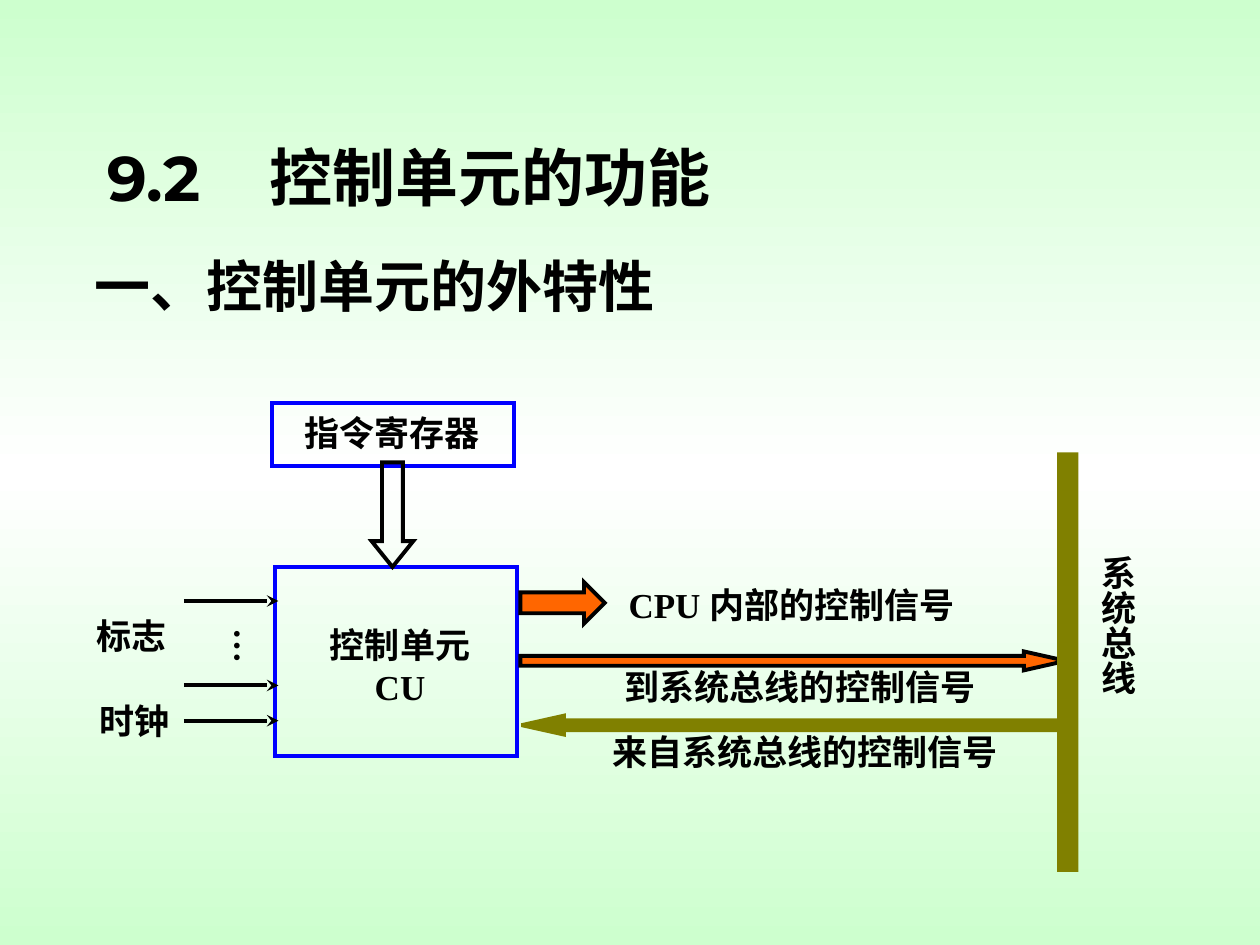
from copy import deepcopy

from lxml.etree import SubElement
from pptx import Presentation
from pptx.dml.color import RGBColor
from pptx.enum.shapes import MSO_CONNECTOR, MSO_SHAPE
from pptx.enum.text import MSO_ANCHOR, PP_ALIGN
from pptx.oxml.ns import qn
from pptx.util import Inches, Pt

BLACK, BLUE, ORANGE, OLIVE = "000000", "0000FF", "FF6600", "808000"
SERIF = "Times New Roman"


def rgb(value):
    """Return the colour for a hex string."""
    return RGBColor.from_string(value)


def set_background(slide, edge, middle):
    """Fill the slide with a vertical gradient that is mirrored at its centre."""
    fill = slide.background.fill
    fill.gradient()
    fill.gradient_angle = 90
    stops = slide.background._cSld.find(".//" + qn("a:gsLst"))
    stops.append(deepcopy(stops[-1]))
    for stop, position, color in zip(fill.gradient_stops, (0, 0.5, 1), (edge, middle, edge)):
        stop.position = position
        stop.color.rgb = rgb(color)


def add_text(slide, text, x, y, w, h, size=20, font=SERIF, anchor=MSO_ANCHOR.TOP,
             align=PP_ALIGN.LEFT, margins=(0.1, 0.05), vertical=False, tab=None):
    """Add a bold black label, optionally vertical or with one tab stop."""
    tf = slide.shapes.add_textbox(Inches(x), Inches(y), Inches(w), Inches(h)).text_frame
    tf.word_wrap = False
    tf.vertical_anchor = anchor
    tf.margin_left = tf.margin_right = Inches(margins[0])
    tf.margin_top = tf.margin_bottom = Inches(margins[1])
    if vertical:
        tf._txBody.bodyPr.set("vert", "eaVert")
    tf.text = text
    for p in tf.paragraphs:
        p.alignment = align
        if tab:
            tabs = SubElement(p._p.get_or_add_pPr(), qn("a:tabLst"))
            SubElement(tabs, qn("a:tab"), pos=str(Inches(tab)), algn="l")
        for r in p.runs:
            r.font.name = font
            r.font.size = Pt(size)
            r.font.bold = True
            r.font.color.rgb = rgb(BLACK)


def add_block(slide, kind, x, y, w, h, fill=None, line=None, adjustments=(), rotation=0):
    """Add a preset shape with the given fill, sharp outline and proportions."""
    sp = slide.shapes.add_shape(kind, Inches(x), Inches(y), Inches(w), Inches(h))
    sp.shadow.inherit = False
    sp.rotation = rotation
    for i, value in enumerate(adjustments):
        sp.adjustments[i] = value
    if fill:
        sp.fill.solid()
        sp.fill.fore_color.rgb = rgb(fill)
    else:
        sp.fill.background()
    if line:
        sp.line.color.rgb = rgb(line)
        sp.line.width = Pt(2.25)
        SubElement(sp.line._get_or_add_ln(), qn("a:miter"), lim="800000")
    else:
        sp.line.fill.background()


def add_input_arrow(slide, y):
    """Add a horizontal arrow that enters the control unit."""
    c = slide.shapes.add_connector(MSO_CONNECTOR.STRAIGHT, Inches(1.46), Inches(y),
                                   Inches(2.21), Inches(y))
    c.line.color.rgb = rgb(BLACK)
    c.line.width = Pt(2.25)
    SubElement(c.line._get_or_add_ln(), qn("a:tailEnd"), type="stealth")
    SubElement(c._element.spPr, qn("a:effectLst"))


def main():
    """Build the control unit slide."""
    prs = Presentation()
    prs.slide_width, prs.slide_height = Inches(10), Inches(7.5)
    s = prs.slides.add_slide(prs.slide_layouts[6])
    set_background(s, "CDFFCE", "FFFFFF")

    add_text(s, "9.2\t控制单元的功能", 0.75, 0.5, 8.5, 1.25, size=36, font="Montserrat",
             anchor=MSO_ANCHOR.BOTTOM, tab=1.29)
    add_text(s, "一、控制单元的外特性", 0.75, 2.03, 4.72, 0.47, size=32,
             anchor=MSO_ANCHOR.MIDDLE, margins=(0, 0))

    add_text(s, "指令寄存器", 2.32, 3.22, 1.65, 0.44)
    add_block(s, MSO_SHAPE.RECTANGLE, 2.16, 3.2, 1.92, 0.5, line=BLUE)
    add_block(s, MSO_SHAPE.RECTANGLE, 2.18, 4.5, 1.92, 1.5, line=BLUE)
    add_text(s, "控制单元\nCU", 2.47, 4.9, 1.41, 0.77, align=PP_ALIGN.CENTER)
    add_block(s, MSO_SHAPE.DOWN_ARROW, 2.95, 3.67, 0.33, 0.83, line=BLACK,
              adjustments=(0.5, 0.62))

    for y in (4.77, 5.44, 5.72):
        add_input_arrow(s, y)
    add_text(s, "…", 1.66, 4.89, 0.53, 0.48, margins=(0.05, 0.1), vertical=True)
    add_text(s, "标志", 0.67, 4.83, 0.85, 0.44)
    add_text(s, "时钟", 0.69, 5.5, 0.85, 0.44)

    add_block(s, MSO_SHAPE.RIGHT_ARROW, 4.13, 4.62, 0.67, 0.33, ORANGE, BLACK, (0.5, 0.5))
    add_block(s, MSO_SHAPE.RIGHT_ARROW, 4.13, 5.17, 4.33, 0.15, ORANGE, BLACK, (0.52, 2.22))
    add_block(s, MSO_SHAPE.RIGHT_ARROW, 4.14, 5.68, 4.33, 0.15, OLIVE, OLIVE, (0.52, 2.24),
              rotation=180)
    add_text(s, "CPU 内部的控制信号", 4.89, 4.58, 3, 0.44)
    add_text(s, "到系统总线的控制信号", 4.86, 5.23, 3.1, 0.44)
    add_text(s, "来自系统总线的控制信号", 4.76, 5.75, 3.4, 0.44)

    add_text(s, "系统总线", 8.56, 4.31, 0.53, 1.4, margins=(0.05, 0.1), vertical=True)
    add_block(s, MSO_SHAPE.RECTANGLE, 8.39, 3.59, 0.17, 3.33, fill=OLIVE)

    prs.save("out.pptx")


if __name__ == "__main__":
    main()
